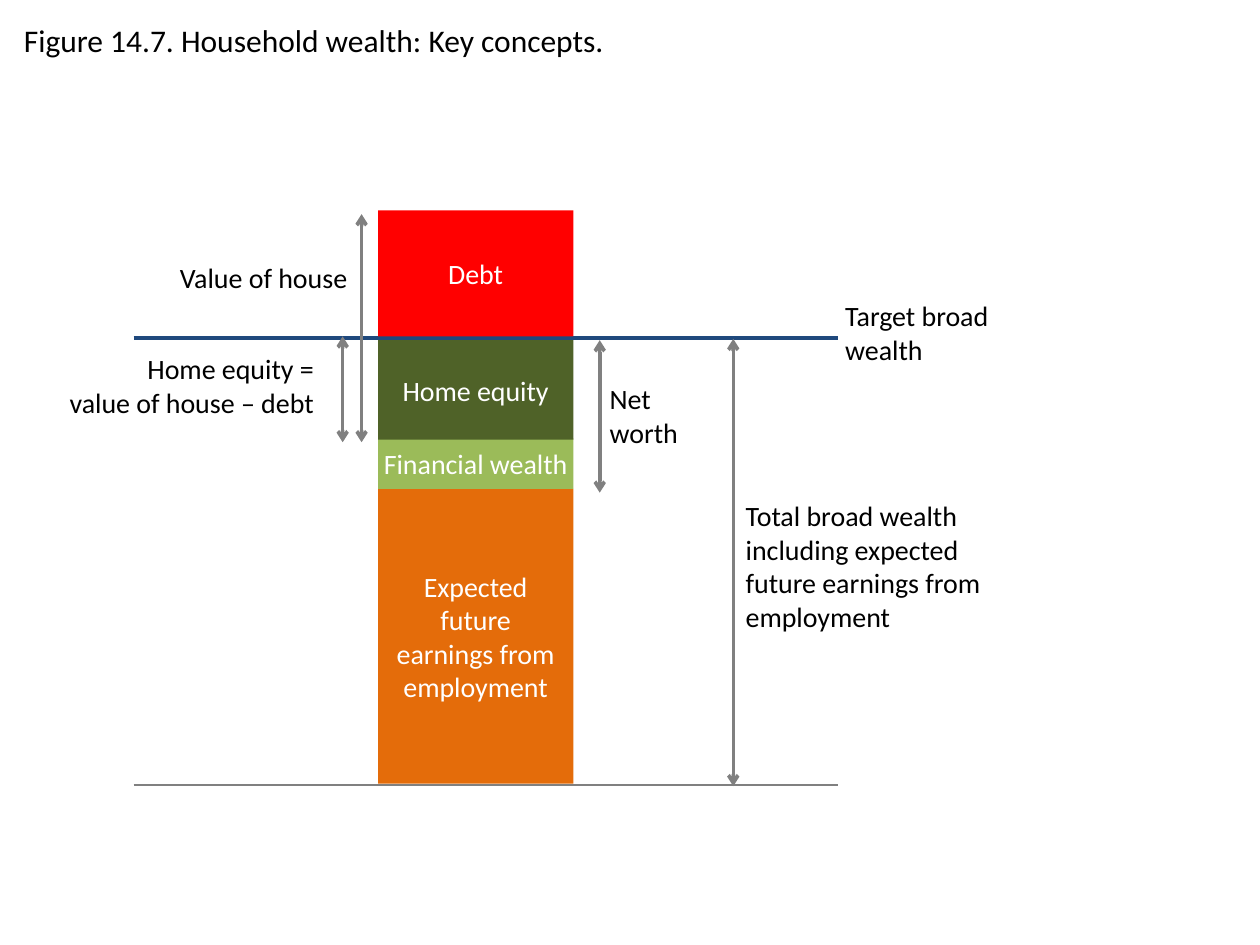
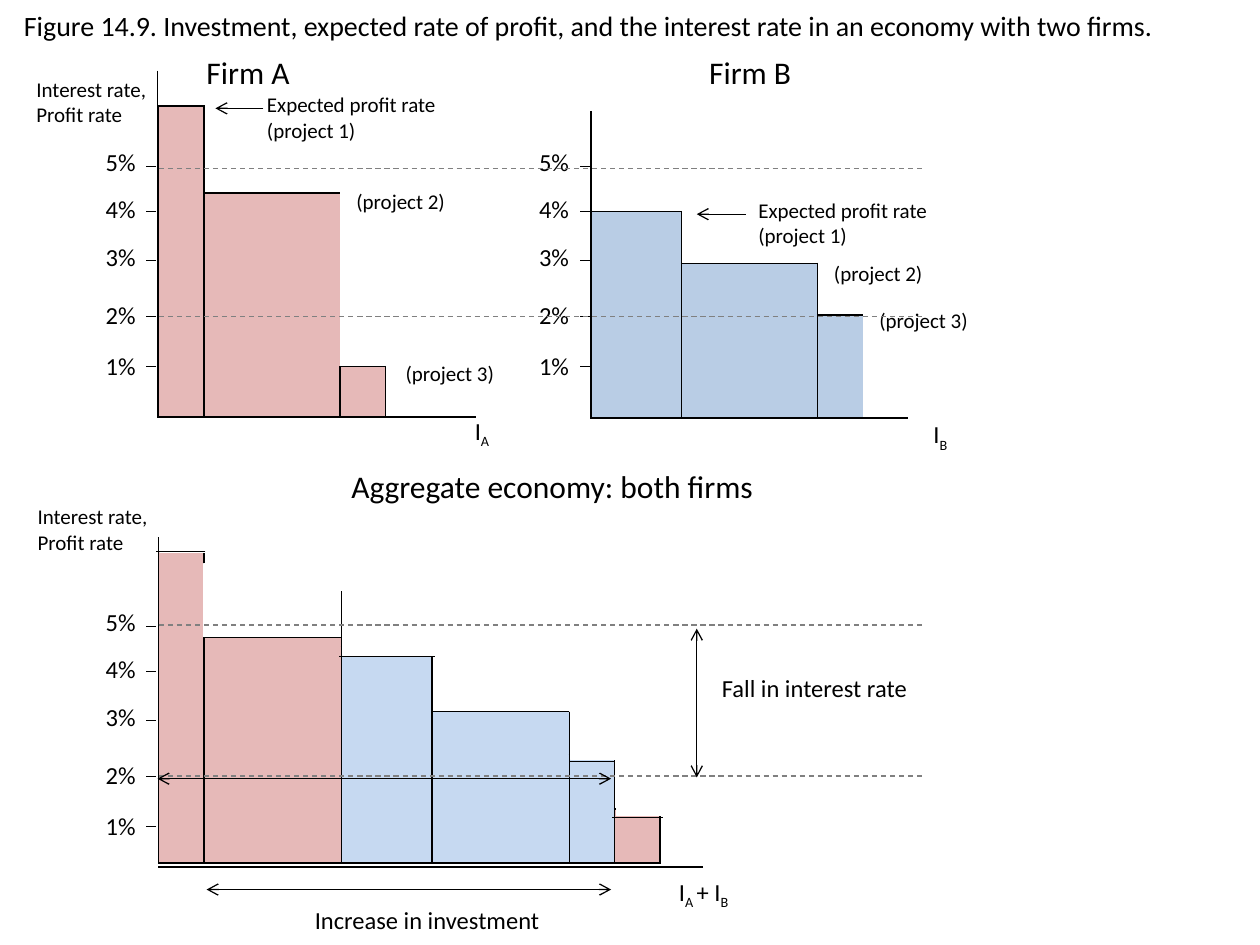
"""Build two economics figures: household wealth and investment by two firms."""

from dataclasses import dataclass
from itertools import product

from lxml import etree
from pptx import Presentation
from pptx.dml.color import RGBColor
from pptx.enum.dml import MSO_LINE
from pptx.enum.shapes import MSO_CONNECTOR as Connector, MSO_SHAPE as Shape
from pptx.enum.text import MSO_ANCHOR as Anchor, MSO_AUTO_SIZE as AutoSize, PP_ALIGN as Align
from pptx.oxml.ns import qn
from pptx.util import Cm, Pt

NO_GRID_STYLE = "{2D5ABB26-0587-4C30-8999-92F81FD0307C}"


@dataclass(frozen=True)
class Theme:
    font: str = "Calibri"
    ink: str = "000000"
    white: str = "FFFFFF"
    grey: str = "808080"
    target: str = "1F497D"
    debt: str = "FF0000"
    equity: str = "4F6228"
    finance: str = "9BBB59"
    earnings: str = "E46C0A"
    firm_a: str = "E6B9B8"
    firm_b: str = "B9CDE5"
    firm_b_total: str = "C6D9F1"
    small: int = 12
    medium: int = 14
    body: int = 16
    heading: int = 18


def inch(value):
    return Cm(value * 2.54)


def inches(*values):
    return [inch(value) for value in values]


def write(frame, text, *, font, size, color, align=Align.LEFT, anchor=Anchor.TOP, wrap=False):
    frame.word_wrap = wrap
    frame.vertical_anchor = anchor
    for index, line in enumerate(text.split("\n")):
        para = frame.paragraphs[0] if index == 0 else frame.add_paragraph()
        para.alignment = align
        for part, words in enumerate(line.split("~")):
            if not words:
                continue
            span = para.add_run()
            span.text = words
            span.font.name = font
            span.font.size = Pt(size)
            span.font.color.rgb = RGBColor.from_string(color)
            if part % 2:
                span.font._element.set("baseline", "-25000")


class Figure:
    def __init__(self, deck, theme):
        self.deck, self.theme, self.page = deck, theme, None

    def new_page(self, title, top, size):
        self.page = self.deck.slides.add_slide(self.deck.slide_layouts[5])
        box = self.page.shapes.title
        box.left, box.top, box.width, box.height = inches(0.09, top, 9.9, 0.4)
        box.text_frame.auto_size = AutoSize.NONE
        write(box.text_frame, title, font=self.theme.font, size=size,
              color=self.theme.ink, wrap=True)

    def label(self, text, left, top, width, size, lines=None, **style):
        lines = lines or text.count("\n") + 1
        height = 0.1 + lines * size * 1.22 / 72
        box = self.page.shapes.add_textbox(*inches(left, top, width, height))
        write(box.text_frame, text, font=self.theme.font, size=size,
              color=self.theme.ink, **style)
        box.text_frame.auto_size = AutoSize.SHAPE_TO_FIT_TEXT

    def block(self, left, top, width, height, fill, outline=None):
        box = self.page.shapes.add_shape(Shape.RECTANGLE, *inches(left, top, width, height))
        box.shadow.inherit = False
        box.fill.solid()
        box.fill.fore_color.rgb = RGBColor.from_string(fill)
        if outline:
            box.line.color.rgb = RGBColor.from_string(outline)
            box.line.width = Pt(0.75)
        else:
            box.line.fill.background()
        return box

    def named_block(self, text, *place, inset=0.1):
        frame = self.block(*place).text_frame
        frame.margin_left = frame.margin_right = inch(inset)
        write(frame, text, font=self.theme.font, size=self.theme.body, color=self.theme.white,
              align=Align.CENTER, anchor=Anchor.MIDDLE, wrap=True)

    def line(self, start, end, color, width, dashed=False, heads=()):
        rule = self.page.shapes.add_connector(Connector.STRAIGHT, *inches(*start, *end))
        rule.line.color.rgb = RGBColor.from_string(color)
        rule.line.width = Pt(width)
        if dashed:
            rule.line.dash_style = MSO_LINE.DASH
        outline = rule.line._get_or_add_ln()
        for head in heads:
            etree.SubElement(outline, qn(f"a:{head}End"), type="arrow")
        etree.SubElement(rule._element.spPr, qn("a:effectLst"))

    def double_arrow(self, start, end, color, width):
        self.line(start, end, color, width, heads=("head", "tail"))

    def border(self, cell, side, shown):
        outline = etree.SubElement(cell._tc.get_or_add_tcPr(), qn(f"a:ln{side}"), w=str(Pt(1)))
        if shown:
            paint = etree.SubElement(outline, qn("a:solidFill"))
            etree.SubElement(paint, qn("a:srgbClr"), val=self.theme.ink)
        else:
            etree.SubElement(outline, qn("a:noFill"))

    def staircase(self, left, top, widths, heights, fills, blanks, first=0, open_right=None):
        """Draw falling bars as merged table cells, each one row lower than the last."""
        last = len(heights) - 1
        size = inches(left, top, sum(widths), sum(heights))
        grid = self.page.shapes.add_table(len(heights), len(widths), *size).table
        grid.first_row = grid.horz_banding = False
        grid._tbl.tblPr.find(qn("a:tableStyleId")).text = NO_GRID_STYLE
        for column, width in zip(grid.columns, widths):
            column.width = inch(width)
        for row, height in zip(grid.rows, heights):
            row.height = inch(height)
        bars = [(first + column, column, last, column) for column in range(len(fills))]
        areas = bars + blanks
        floor_cells = {area[:2] for area in areas if area[2] == last}

        def filled(row, column):
            return 0 <= column < len(fills) and row >= first + column

        for row, column in product(range(len(heights)), range(len(widths))):
            cell = grid.cell(row, column)
            inside = filled(row, column)
            after_bar = filled(row, column - 1) and column - 1 != open_right
            sides = {
                "L": column == 0 or inside or after_bar,
                "R": (inside and column != open_right) or filled(row, column + 1),
                "T": inside and row == first + column,
                "B": row == last or (row, column) in floor_cells
                     or (not inside and filled(row + 1, column)),
            }
            for side, shown in sides.items():
                self.border(cell, side, shown)
            if inside:
                cell.fill.solid()
                cell.fill.fore_color.rgb = RGBColor.from_string(fills[column])
            else:
                cell.fill.background()
            cell.margin_left = cell.margin_right = cell.margin_top = cell.margin_bottom = 0
            para = cell.text_frame.paragraphs[0]
            etree.SubElement(para._p, qn("a:endParaRPr"), sz="100")
        for area in areas:
            if area[:2] != area[2:]:
                grid.cell(*area[:2]).merge(grid.cell(*area[2:]))

    def rate_scale(self, right=0, down=0):
        rates = (("5%", 1.12, 1.32), ("4%", 1.49, 1.68), ("3%", 1.87, 2.07),
                 ("2%", 2.33, 2.51), ("1%", 2.74, 2.91))
        for rate, top, tick in rates:
            self.label(rate, 0.74 + right, top + down, 0.44, self.theme.medium)
            self.line((1.24 + right, tick + down), (1.16 + right, tick + down),
                      self.theme.ink, 0.5)


def household_wealth(figure):
    theme = figure.theme
    figure.new_page("Figure 14.7. Household wealth: Key concepts.", 0.12, theme.heading)
    figure.line((1.06, 2.68), (6.65, 2.68), theme.target, 2.25)
    for text, top, height, fill, inset in (
        ("Expected future earnings from employment", 3.88, 2.34, theme.earnings, 0.1),
        ("Financial wealth", 3.48, 0.4, theme.finance, 0),
        ("Home equity", 2.7, 0.79, theme.equity, 0.1),
        ("Debt", 1.67, 1, theme.debt, 0.1),
    ):
        figure.named_block(text, 3, top, 1.55, height, fill, inset=inset)
    for x, top, bottom in ((2.87, 1.7, 3.51), (2.72, 2.67, 3.51),
                           (5.82, 2.69, 6.24), (4.76, 2.7, 3.91)):
        figure.double_arrow((x, top), (x, bottom), theme.grey, 2)
    figure.label("Value of house", 1.33, 2.02, 1.55, theme.body)
    figure.label("Home equity =\nvalue of house – debt", 0.39, 2.74, 2.2, theme.body,
                 align=Align.RIGHT, wrap=True)
    figure.label("Net\nworth", 4.74, 2.98, 0.75, theme.body)
    figure.label("Total broad wealth including expected future earnings from employment",
                 5.82, 3.91, 2.47, theme.body, lines=4, wrap=True)
    figure.label("Target broad\nwealth", 6.61, 2.32, 1.35, theme.body)
    figure.line((1.06, 6.23), (6.65, 6.23), theme.grey, 1.5)


def firm_bars(figure):
    theme = figure.theme
    pink, blue, pale = theme.firm_a, theme.firm_b, theme.firm_b_total
    figure.staircase(1.26, 0.84, (0.36, 1.08, 0.36, 0.72), (0.69, 1.38, 0.4),
                     [pink] * 3, [(0, 2, 1, 3)], open_right=1)
    figure.staircase(4.69, 0.88, (0.72, 1.08, 0.36, 0.36), (0.8, 0.41, 0.41, 0.82),
                     [blue] * 3, [(0, 0, 0, 2), (0, 3, 3, 3), (1, 1, 1, 2)],
                     first=1, open_right=2)
    figure.staircase(1.26, 4.27, (0.36, 1.09, 0.72, 1.09, 0.36, 0.36), [0.43] * 6,
                     [pink, pink, pale, pale, pale, pink],
                     [(row, row + 1, row, 5) for row in range(4)])
    for left, top, width, height in (
        (1.27, 3.79, 0.39, 0.59), (1.62, 4.47, 1.08, 0.59), (2.72, 5, 0.79, 0.2),
        (3.44, 5.06, 1.08, 0.59), (4.53, 5.44, 0.39, 0.59), (4.89, 5.88, 0.39, 0.59),
    ):
        figure.block(left, top, width, height, theme.white, theme.white)
    for left, right, y in ((1.24, 1.63, 4.38), (1.61, 2.71, 5.06), (2.69, 3.45, 5.21),
                           (3.42, 4.52, 5.65), (4.52, 4.87, 6.04), (4.86, 5.26, 6.49)):
        figure.line((right, y), (left, y), theme.ink, 0.5)


def two_firms(figure):
    theme = figure.theme
    figure.new_page("Figure 14.9. Investment, expected rate of profit, and the interest rate "
                    "in an economy with two firms.", 0.02, theme.body)
    firm_bars(figure)
    for text, left, top, width in (("Firm A", 1.54, 0.37, 0.87), ("Firm B", 5.53, 0.37, 0.86),
                                   ("Aggregate economy: both firms", 2.69, 3.66, 3.43)):
        figure.label(text, left, top, width, theme.heading)
    for left, top in ((2.02, 0.68), (5.92, 1.52)):
        figure.label("Expected profit rate\n(project 1)", left, top, 1.55, theme.small)
    for project, left, top in ((2, 2.73, 1.45), (3, 3.12, 2.81), (2, 6.52, 2.02), (3, 6.88, 2.39)):
        figure.label(f"(project {project})", left, top, 0.91, theme.small)
    for left, top in ((0.19, 0.56), (0.2, 3.95)):
        figure.label("Interest rate,\nProfit rate", left, top, 1.12, theme.small)
    for text, left, top, width in (
        ("I~A~", 3.67, 3.25, 0.33), ("I~B~", 7.31, 3.28, 0.33), ("I~A ~+ I~B~", 5.29, 6.91, 0.62),
        ("Fall in interest rate", 5.63, 5.29, 1.69), ("Increase in investment", 2.4, 7.13, 2),
    ):
        figure.label(text, left, top, width, theme.medium)

    for right, down in ((0, 0), (3.44, 0), (0, 3.65)):
        figure.rate_scale(right, down)
    for y in (1.34, 2.51, 4.96, 6.16):
        figure.line((1.26, y), (7.35, y), theme.grey, 0.75, dashed=True)
    figure.line((1.25, 0.56), (1.25, 3.32), theme.ink, 1)
    figure.line((5.58, 6.88), (1.25, 6.88), theme.ink, 1)
    for start, end, y in ((2.09, 1.71, 0.86), (5.92, 5.53, 1.7)):
        figure.line((start, y), (end, y), theme.ink, 0.75, heads=("tail",))
    for start, end in (((5.53, 6.17), (5.53, 4.99)), ((1.64, 7.06), (4.85, 7.06)),
                       ((1.25, 6.18), (4.85, 6.18))):
        figure.double_arrow(start, end, theme.ink, 0.75)


def main():
    deck = Presentation()
    deck.slide_width, deck.slide_height = inches(10, 7.5)
    figure = Figure(deck, Theme())
    household_wealth(figure)
    two_firms(figure)
    deck.save("out.pptx")


if __name__ == "__main__":
    main()
